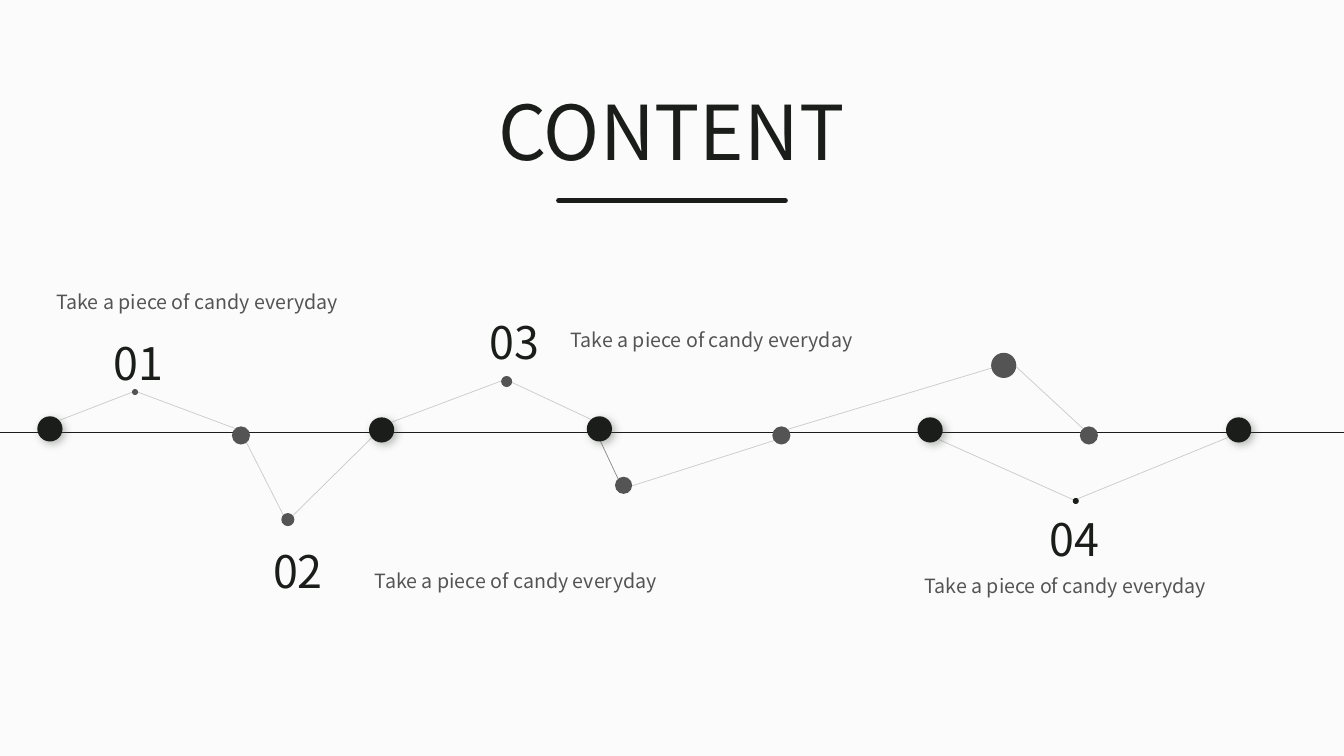
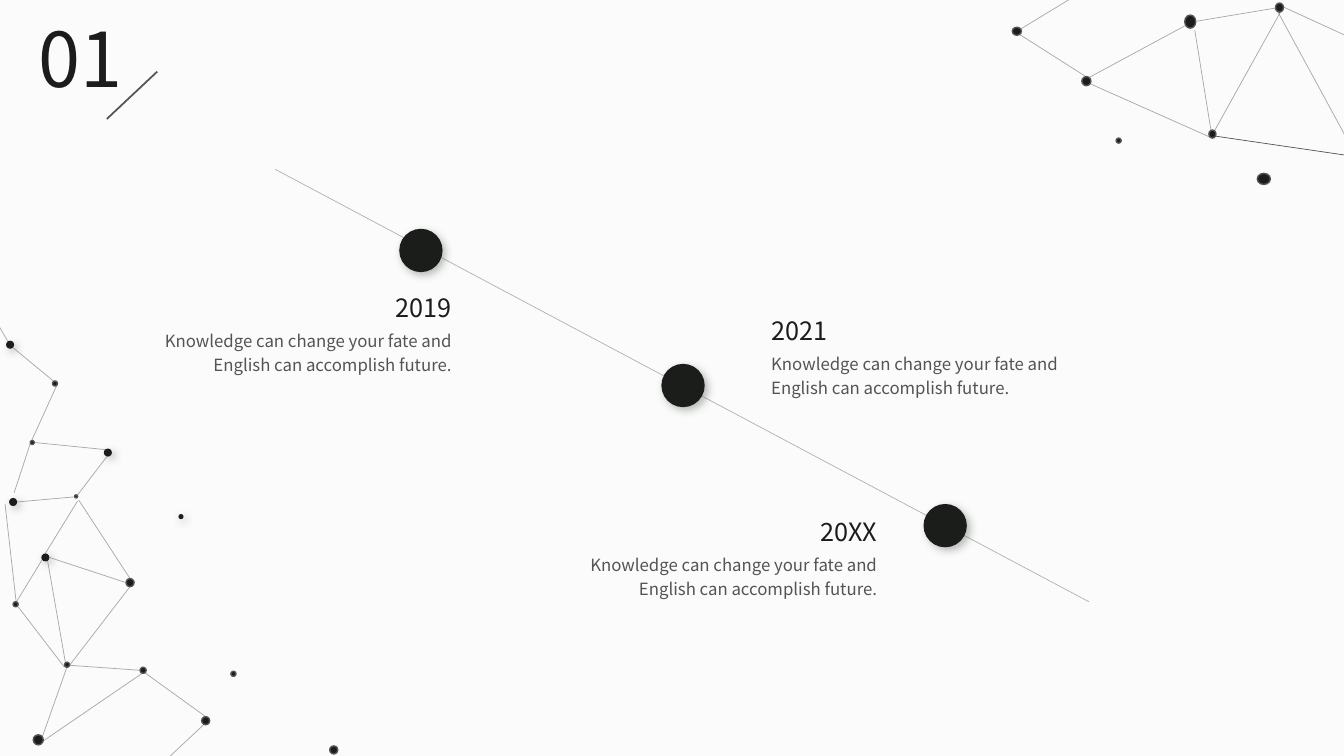
from lxml.etree import SubElement
from pptx import Presentation
from pptx.dml.color import RGBColor
from pptx.enum.shapes import MSO_CONNECTOR as CONNECTOR, MSO_SHAPE as SHAPE
from pptx.enum.text import MSO_ANCHOR as ANCHOR, MSO_AUTO_SIZE as AUTO_SIZE, PP_ALIGN as ALIGN
from pptx.oxml.ns import qn
from pptx.util import Emu, Pt

PX = 9144
WIDTH, HEIGHT = 1333, 750
FONT = "Noto Sans CJK SC"
PAPER = RGBColor(0xFB, 0xFB, 0xFB)
INK = RGBColor(0x1A, 0x1D, 0x1A)
GREY = RGBColor(0x54, 0x54, 0x54)
SHADOW = RGBColor(0x50, 0x59, 0x50)
TITLE_ONLY = 5

SLOGAN = "Take a piece of candy everyday"
SAYING = "Knowledge can change your fate and English can accomplish future."

AXIS_DOTS = [(37, 413), (366, 414), (582, 413), (910, 414), (1216, 414)]
BRANCH_DOTS = [
    (230, 423, 18), (766, 423, 18), (1071, 423, 18), (279, 509, 13),
    (497, 373, 11), (610, 473, 17), (983, 350, 25), (131, 386, 6),
]
BRANCHES = [
    (59, 417, 134, 388), (134, 388, 233, 425), (244, 438, 281, 511),
    (290, 512, 369, 434), (388, 419, 497, 378), (586, 416, 507, 379),
    (768, 437, 627, 482), (984, 365, 781, 426), (1074, 425, 1008, 364),
    (1065, 496, 931, 436), (1218, 434, 1066, 496),
]
CHAPTERS = [
    ("01", 41, 328, 46, 283), ("02", 199, 534, 362, 559),
    ("03", 414, 307, 556, 320), ("04", 969, 503, 907, 564),
]

MILESTONES = [
    ("2019", 396, 227, 107, 285, ALIGN.RIGHT),
    ("2021", 656, 361, 755, 308, ALIGN.LEFT),
    ("20XX", 916, 500, 529, 507, ALIGN.RIGHT),
]
TOP_WEB = [
    (1187, 21, 1265, 8), (1369, 51, 1273, 7), (1348, 160, 1267, 11),
    (1270, 12, 1205, 129), (1201, 129, 1185, 30), (1080, 77, 1182, 22),
    (1081, 83, 1200, 136), (1011, 34, 1077, 76), (1012, 29, 1086, -16),
]
LEFT_WEB = [
    (34, 439, 104, 446), (13, 345, 53, 378), (56, 383, 31, 438),
    (30, 440, 14, 489), (17, 498, 73, 493), (45, 549, 77, 497),
    (5, 500, 16, 597), (42, 555, 14, 601), (47, 555, 65, 658),
    (129, 574, 78, 496), (64, 662, 18, 602), (42, 731, 66, 663),
    (49, 553, 125, 578), (77, 491, 106, 453), (129, 582, 69, 660),
    (69, 660, 139, 665), (143, 667, 204, 711), (141, 668, 43, 735),
    (-31, 272, 8, 339), (203, 718, 139, 778),
]
TOP_DOTS = [
    (1265, 3, 8, 9), (1199, 129, 7, 8), (1073, 76, 9, 9), (1175, 15, 11, 13),
    (1247, 172, 13, 11), (1004, 27, 9, 8), (1107, 137, 5, 5),
]
LEFT_DOTS = [
    (33, 729, 10), (52, 378, 5), (64, 657, 5), (125, 574, 8), (30, 437, 4),
    (74, 491, 3), (13, 597, 5), (139, 662, 6), (200, 711, 8), (327, 740, 8),
    (229, 666, 5),
]
SHADED_DOTS = [(6, 338, 8), (9, 494, 8), (41, 549, 8), (177, 510, 5), (103, 445, 8)]


def px(*lengths):
    return [Emu(length * PX) for length in lengths]


def format_text(box, text, size, color, align=ALIGN.LEFT, wrap=True, spacing=None):
    frame = box.text_frame
    frame.text = text
    frame.word_wrap = wrap
    frame.vertical_anchor = ANCHOR.TOP
    frame.auto_size = AUTO_SIZE.SHAPE_TO_FIT_TEXT
    para = frame.paragraphs[0]
    para.alignment = align
    if spacing:
        para.line_spacing = spacing
    font = para.runs[0].font
    font.name, font.size = FONT, Pt(size)
    font.color.rgb = color


def add_text(slide, x, y, width, height, text, size, color, **style):
    box = slide.shapes.add_textbox(*px(x, y, width, height))
    format_text(box, text, size, color, **style)


def add_titled_slide(deck, text, x, y, width, height, **style):
    slide = deck.slides.add_slide(deck.slide_layouts[TITLE_ONLY])
    title = slide.shapes.title
    title.left, title.top, title.width, title.height = px(x, y, width, height)
    format_text(title, text, 54, INK, **style)
    return slide


def add_line(slide, ends, color, weight=0.5, opacity=100, rounded=False):
    connector = slide.shapes.add_connector(CONNECTOR.STRAIGHT, *px(*ends))
    connector.line.color.rgb = color
    connector.line.width = Pt(weight)
    properties = connector.element.spPr
    if opacity < 100:
        tint = properties.find(".//" + qn("a:srgbClr"))
        SubElement(tint, qn("a:alpha"), val=str(opacity * 1000))
    if rounded:
        properties.find(qn("a:ln")).set("cap", "rnd")
    SubElement(properties, qn("a:effectLst"))


def add_dot(slide, x, y, width, height=None, color=INK, outlined=False, shaded=False):
    dot = slide.shapes.add_shape(SHAPE.OVAL, *px(x, y, width, height or width))
    dot.fill.solid()
    dot.fill.fore_color.rgb = color
    if outlined:
        dot.line.color.rgb = GREY
        dot.line.width = Pt(1)
    else:
        dot.line.fill.background()
    dot.shadow.inherit = False
    if shaded:
        effects = dot.element.spPr.find(qn("a:effectLst"))
        shadow = SubElement(
            effects, qn("a:outerShdw"), blurRad=str(Pt(6)), dist=str(Pt(3)),
            dir=str(45 * 60000), algn="tl", rotWithShape="0")
        tint = SubElement(shadow, qn("a:srgbClr"), val=str(SHADOW))
        SubElement(tint, qn("a:alpha"), val="40000")


def build_content(deck):
    slide = add_titled_slide(deck, "CONTENT", 484, 79, 383, 101, wrap=False)
    add_line(slide, (554, 199, 779, 199), INK, 3.5, rounded=True)
    add_line(slide, (0, 429, WIDTH, 429), INK, 0.75)
    for ends in BRANCHES:
        add_line(slide, ends, INK, opacity=21)
    add_line(slide, (591, 428, 613, 475), INK, opacity=51)
    for x, y in AXIS_DOTS:
        add_dot(slide, x, y, 25, shaded=True)
    for place in BRANCH_DOTS:
        add_dot(slide, *place, color=GREY)
    add_dot(slide, 1064, 494, 6)
    for number, x, y, slogan_x, slogan_y in CHAPTERS:
        add_text(slide, x, y, 193, 64, number, 32, INK, align=ALIGN.CENTER)
        add_text(slide, slogan_x, slogan_y, 311, 34, SLOGAN, 14, GREY, wrap=False)


def build_timeline(deck):
    slide = add_titled_slide(deck, "01", 28, 7, 114, 101, align=ALIGN.JUSTIFY)
    add_line(slide, (156, 71, 106, 118), GREY, 1.25)
    add_line(slide, (273, 168, 1080, 597), GREY, opacity=43)
    for ends in TOP_WEB + LEFT_WEB:
        add_line(slide, ends, GREY, opacity=50)
    add_line(slide, (1342, 155, 1205, 135), GREY)
    for place in TOP_DOTS + LEFT_DOTS:
        add_dot(slide, *place, outlined=True)
    for place in SHADED_DOTS:
        add_dot(slide, *place, shaded=True)
    for year, dot_x, dot_y, x, y, align in MILESTONES:
        add_dot(slide, dot_x, dot_y, 43, shaded=True)
        add_text(slide, x, y, 351, 40, year, 18, INK, align=align)
        add_text(slide, x, y + 34, 351, 59, SAYING, 12, GREY, align=align, spacing=1.2)


def main():
    deck = Presentation()
    deck.slide_width, deck.slide_height = px(WIDTH, HEIGHT)
    background = deck.slide_master.background.fill
    background.solid()
    background.fore_color.rgb = PAPER
    build_content(deck)
    build_timeline(deck)
    deck.save("out.pptx")


if __name__ == "__main__":
    main()
